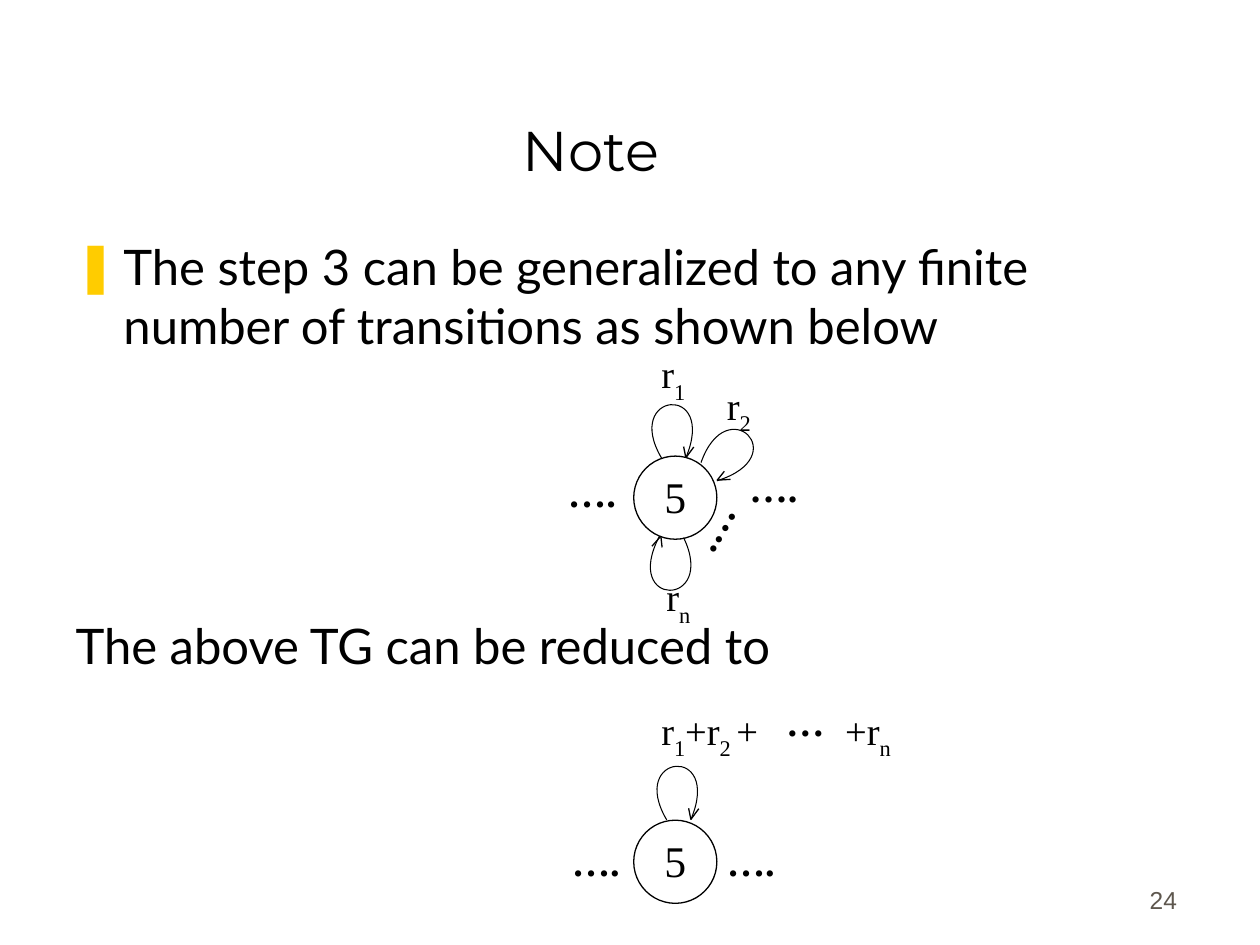
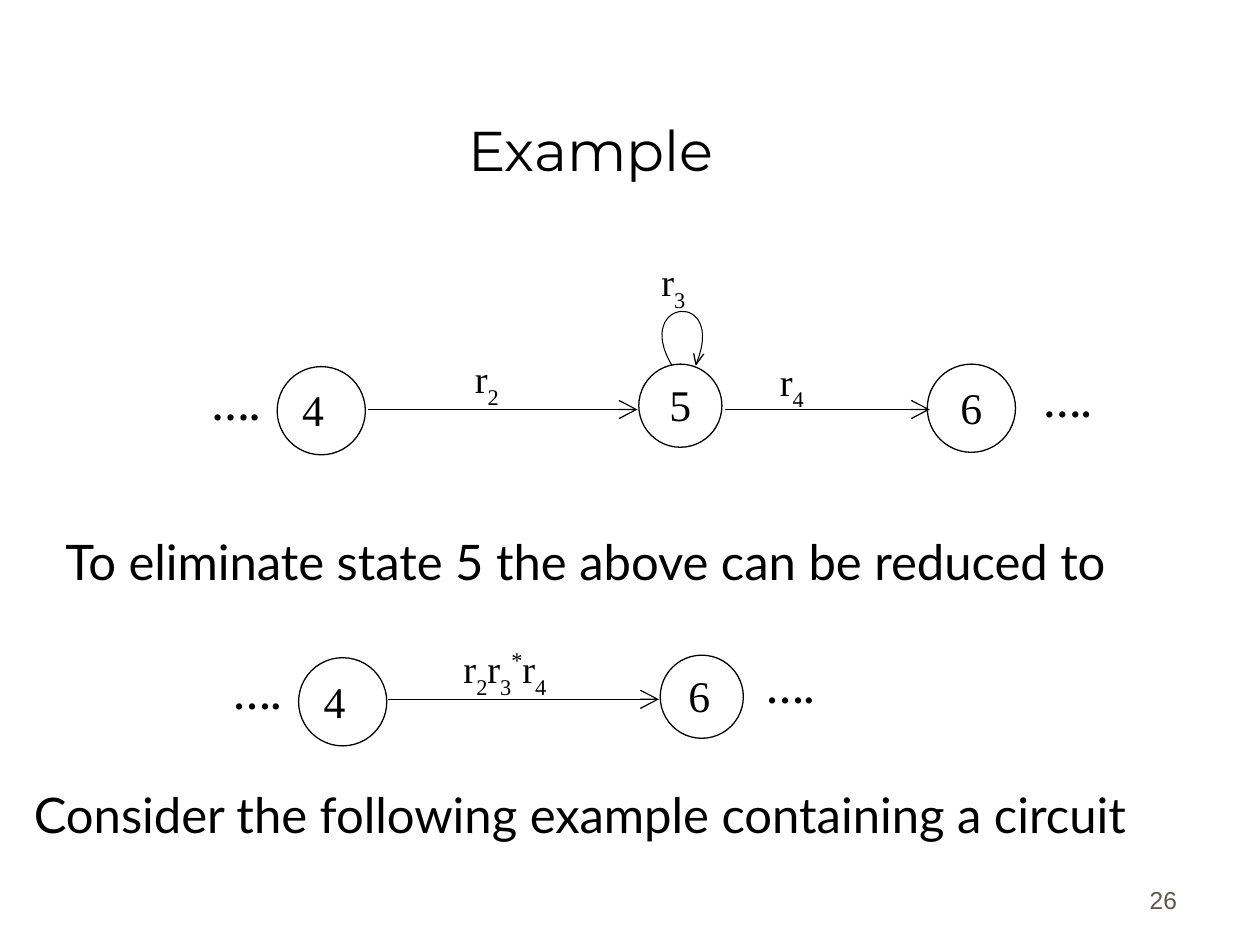
import math

from lxml import etree
from pptx import Presentation
from pptx.dml.color import RGBColor
from pptx.enum import shapes, text
from pptx.oxml.ns import qn
from pptx.util import Inches, Pt

BLACK = RGBColor(0x00, 0x00, 0x00)
WHITE = RGBColor(0xFF, 0xFF, 0xFF)
YELLOW = RGBColor(0xFF, 0xCC, 0x00)
TAUPE = RGBColor(0x5E, 0x57, 0x4E)
TITLE_FONT, BODY_FONT, MATH_FONT, NUMBER_FONT = (
    "Montserrat", "Lato", "Times New Roman", "Arial")

CONTENT_LAYOUT, TITLE_LAYOUT = 1, 5
DOTS = "…."
BASELINES = {"_": "-30000", "^": "40000"}

# Control points of a loop around its centre, and barbs from its tip
LOOP = [(-0.02, 0.32), (-0.38, -0.18), (0.37, -0.32), (0.17, 0.3)]
BARBS = [(0.07, -0.08), (-0.01, -0.09)]
BARB_TURN = -10


def rotate(point, degrees):
    x, y = point
    cosine, sine = math.cos(math.radians(degrees)), math.sin(math.radians(degrees))
    return x * cosine - y * sine, x * sine + y * cosine


def add(first, second):
    return first[0] + second[0], first[1] + second[1]


class Deck:
    def __init__(self):
        self.presentation = Presentation()
        self.presentation.slide_width = Inches(10)
        self.presentation.slide_height = Inches(7.5)
        self.slide = None

    def style(self, paragraph, font, size, color=BLACK, bold=False):
        paragraph.font.name = font
        paragraph.font.size = Pt(size)
        paragraph.font.color.rgb = color
        paragraph.font.bold = bold

    def place(self, shape, left, top, width, height):
        shape.left, shape.top = Inches(left), Inches(top)
        shape.width, shape.height = Inches(width), Inches(height)

    def new_slide(self, layout, title, number):
        layouts = self.presentation.slide_layouts
        self.slide = self.presentation.slides.add_slide(layouts[layout])
        heading = self.slide.shapes.title
        self.place(heading, 0.44, 0.25, 8.5, 1.25)
        heading.text_frame.text = title
        heading.text_frame.vertical_anchor = text.MSO_ANCHOR.BOTTOM
        paragraph = heading.text_frame.paragraphs[0]
        paragraph.alignment = text.PP_ALIGN.CENTER
        self.style(paragraph, TITLE_FONT, 32)

        paragraph = self.text_box([str(number)], 7.36, 6.81, 2.08, 0.5,
                                  NUMBER_FONT, 14, TAUPE,
                                  anchor=text.MSO_ANCHOR.BOTTOM)
        paragraph.alignment = text.PP_ALIGN.RIGHT

    def body(self, bulleted, plain, gap):
        """Bulleted statement, with a plain one below the diagram gap."""
        shape = self.slide.placeholders[1]
        self.place(shape, 0.5, 1.83, 8.94, 5.33)
        frame = shape.text_frame
        frame.auto_size = text.MSO_AUTO_SIZE.NONE
        frame.text = f"{bulleted}\n{plain}"
        for paragraph in frame.paragraphs:
            properties = paragraph._p.get_or_add_pPr()
            properties.set("marL", str(Inches(0.38)))
            properties.set("indent", str(-Inches(0.38)))
        first, second = frame.paragraphs
        first.space_before, second.space_before = Pt(0), Pt(gap)
        properties = first._p.pPr
        color = etree.SubElement(properties, qn("a:buClr"))
        etree.SubElement(color, qn("a:srgbClr"), val=str(YELLOW))
        etree.SubElement(properties, qn("a:buChar"), char="❚")
        etree.SubElement(second._p.pPr, qn("a:buNone"))
        for paragraph in frame.paragraphs:
            self.style(paragraph, BODY_FONT, 28)

    def text_box(self, parts, left, top, width, height, font, size,
                 color=BLACK, bold=False, rotation=0, tab=None,
                 anchor=text.MSO_ANCHOR.TOP):
        """Parts that start with _ or ^ are set below or above the line."""
        shape = self.slide.shapes.add_textbox(
            Inches(left), Inches(top), Inches(width), Inches(height))
        shape.rotation = rotation
        frame = shape.text_frame
        frame.word_wrap = True
        frame.vertical_anchor = anchor
        paragraph = frame.paragraphs[0]
        if tab:
            tabs = etree.SubElement(paragraph._p.get_or_add_pPr(), qn("a:tabLst"))
            etree.SubElement(tabs, qn("a:tab"), pos=str(Inches(tab)), algn="l")
        self.style(paragraph, font, size, color, bold)
        for part in parts:
            run = paragraph.add_run()
            baseline = BASELINES.get(part[0])
            run.text = part[1:] if baseline else part
            if baseline:
                run._r.get_or_add_rPr().set("baseline", baseline)
        return paragraph

    def statement(self, words, left, top, width):
        self.text_box([words], left, top, width, 0.57, BODY_FONT, 28)

    def label(self, parts, left, top, width=0.91, tab=None):
        self.text_box(parts, left, top, width, 0.42, MATH_FONT, 22, tab=tab)

    def dots(self, left, top, words=DOTS, rotation=0):
        self.text_box([words], left, top, 0.76, 0.42, MATH_FONT, 22,
                      bold=True, rotation=rotation)

    def state(self, name, left, top, size=0.66, right_inset=0.0):
        shape = self.slide.shapes.add_shape(
            shapes.MSO_SHAPE.OVAL, Inches(left), Inches(top),
            Inches(size), Inches(size))
        shape.shadow.inherit = False
        shape.fill.solid()
        shape.fill.fore_color.rgb = WHITE
        shape.line.color.rgb = BLACK
        shape.line.width = Pt(0.75)
        frame = shape.text_frame
        frame.margin_left = frame.margin_top = 0
        frame.margin_bottom = Inches(0.02)
        frame.margin_right = Inches(right_inset)
        frame.word_wrap = False
        frame.vertical_anchor = text.MSO_ANCHOR.MIDDLE
        frame.text = name
        paragraph = frame.paragraphs[0]
        paragraph.alignment = text.PP_ALIGN.CENTER
        self.style(paragraph, MATH_FONT, 25)

    def outline(self, offsets, center, rotation, line_width):
        """Open outline given by offsets from its centre, then turned."""
        points = [add(center, offset) for offset in offsets]
        start, *others = [(Inches(x), Inches(y)) for x, y in points]
        builder = self.slide.shapes.build_freeform(*start)
        builder.add_line_segments(others, close=False)
        shape = builder.convert_to_shape()
        shape.rotation = rotation % 360
        shape.shadow.inherit = False
        shape.fill.background()
        shape.line.color.rgb = BLACK
        shape.line.width = Pt(line_width)
        return shape

    def loop(self, x, y, rotation=5):
        """Curved arrow around a centre point."""
        shape = self.outline(LOOP, (x, y), rotation, 0.6)
        segments = list(shape._element.iter(qn("a:lnTo")))
        curve = etree.SubElement(segments[0].getparent(), qn("a:cubicBezTo"))
        for segment in segments:
            curve.append(segment[0])
            segment.getparent().remove(segment)

        tip = add((x, y), rotate(LOOP[-1], rotation))
        turn = rotation + BARB_TURN
        for dx, dy in BARBS:
            half = (dx / 2, dy / 2)
            self.outline([(-dx / 2, -dy / 2), half],
                         add(tip, rotate(half, turn)), turn, 0.75)

    def arrow(self, start, end, y):
        connector = self.slide.shapes.add_connector(
            shapes.MSO_CONNECTOR.STRAIGHT,
            Inches(start), Inches(y), Inches(end), Inches(y))
        connector.line.color.rgb = BLACK
        connector.line.width = Pt(0.75)
        properties = connector._element.spPr
        etree.SubElement(properties.find(qn("a:ln")), qn("a:tailEnd"),
                         type="arrow", w="lg", len="lg")
        etree.SubElement(properties, qn("a:effectLst"))


def note_slide(deck):
    deck.new_slide(CONTENT_LAYOUT, "Note", 24)
    deck.body("The step 3 can be generalized to any finite number of "
              "transitions as shown below",
              "The above TG can be reduced to", gap=149)

    # State with n loops
    deck.state("5", 5.03, 3.62)
    deck.loop(5.3, 3.32)
    deck.loop(5.36, 4.58, rotation=190)
    deck.loop(5.84, 3.5, rotation=55)
    deck.label(["r", "_1"], 5.15, 2.73)
    deck.label(["r", "_2"], 5.67, 2.98)
    deck.label(["r", "_n"], 5.19, 4.5)
    deck.dots(4.41, 3.67)
    deck.dots(5.42, 4.16, rotation=120)
    deck.dots(5.85, 3.63)

    # State with a single combined loop
    deck.state("5", 5.03, 6.51)
    deck.loop(5.34, 6.19)
    deck.label(["r", "_1", "+r", "_2 ", "+\t+r", "_n"], 5.15, 5.56, 2.68, tab=1.46)
    deck.dots(6.14, 5.49, "…")
    deck.dots(4.44, 6.6)
    deck.dots(5.67, 6.6)


def example_slide(deck):
    deck.new_slide(TITLE_LAYOUT, "Example", 26)

    # Three states
    deck.state("4", 2.2, 2.91, 0.7, right_inset=0.13)
    deck.state("5", 5.07, 2.89)
    deck.state("6", 7.36, 2.89, 0.7)
    deck.loop(5.38, 2.58)
    deck.arrow(2.92, 5.06, 3.25)
    deck.arrow(5.75, 7.38, 3.25)
    deck.label(["r", "_2"], 3.67, 2.77)
    deck.label(["r", "_3"], 5.15, 2)
    deck.label(["r", "_4"], 6.09, 2.79)
    deck.dots(1.58, 2.98)
    deck.dots(8.18, 2.96)
    deck.statement("To eliminate state 5 the above can be reduced to",
                   0.42, 4.17, 9.25)

    # Reduced to two states
    deck.state("4", 2.37, 5.22, 0.7, right_inset=0.13)
    deck.state("6", 5.24, 5.2, right_inset=0.04)
    deck.arrow(3.08, 5.23, 5.55)
    deck.label(["r", "_2", "r", "_3", "^*", "r", "_4"], 3.58, 5.07, 1.58)
    deck.dots(1.75, 5.28)
    deck.dots(5.98, 5.23)
    deck.statement("Consider the following example containing a circuit",
                   0.17, 6.18, 9.67)


def main():
    deck = Deck()
    note_slide(deck)
    example_slide(deck)
    deck.presentation.save("out.pptx")


if __name__ == "__main__":
    main()
